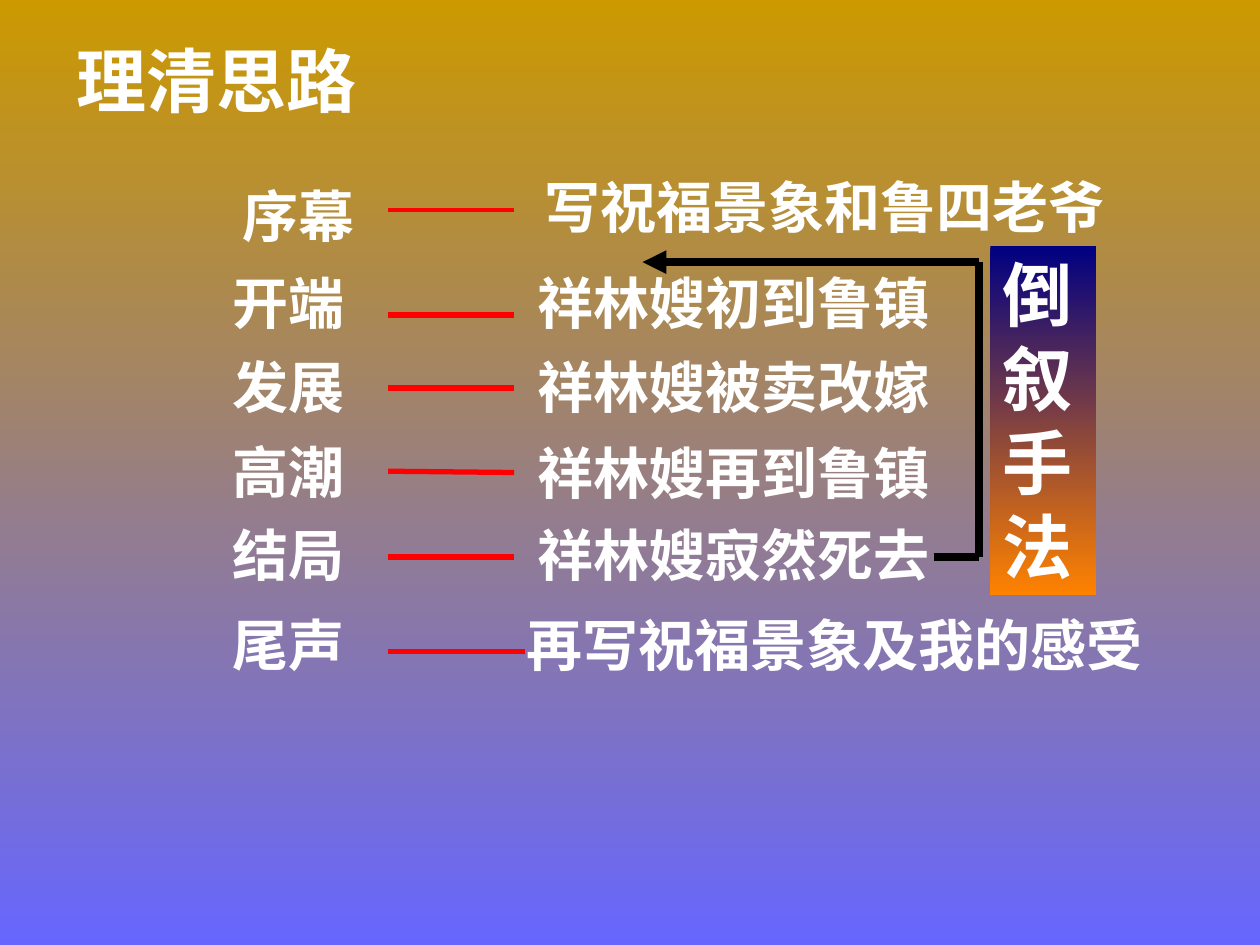
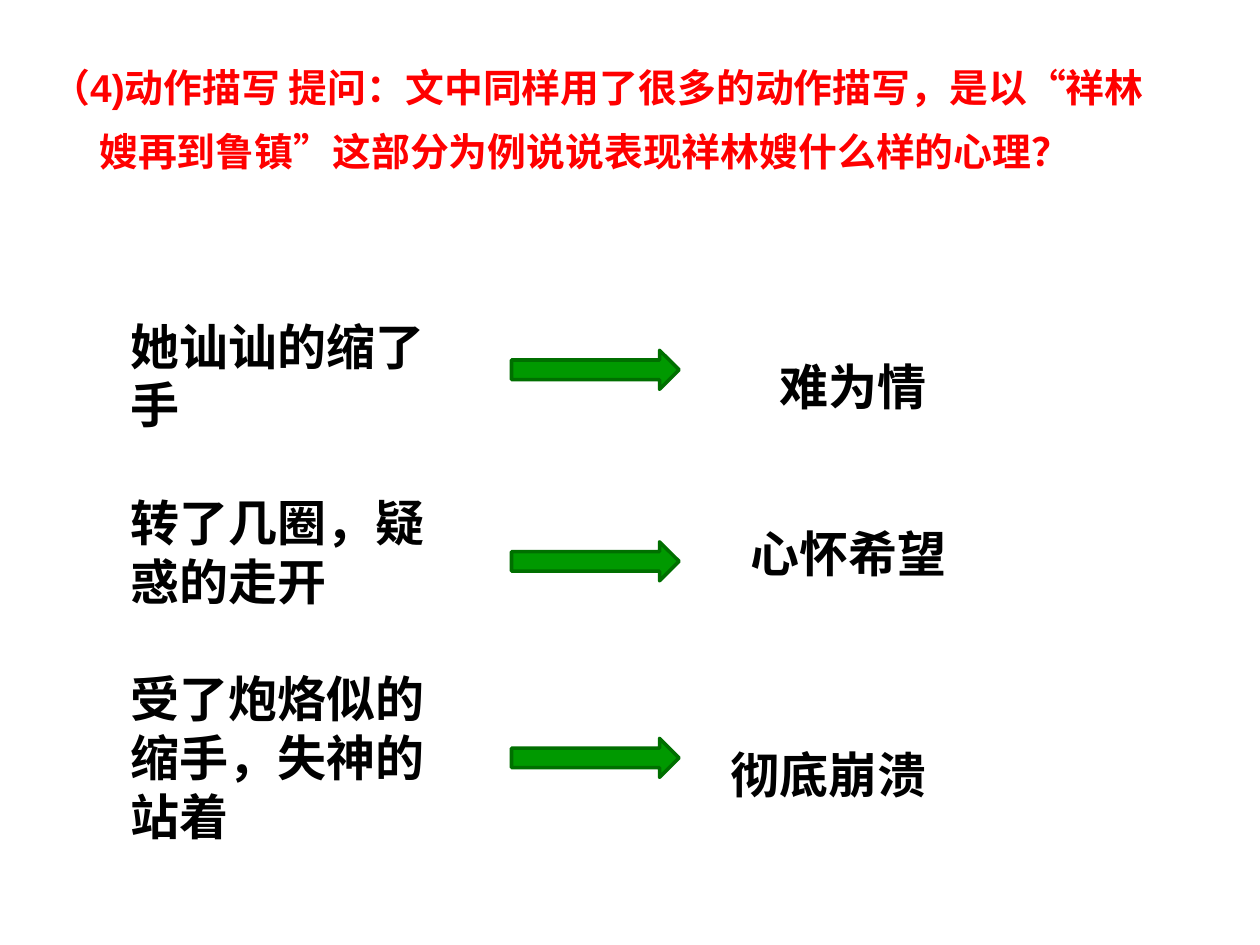
"""Build two lesson slides: the story outline and the action-description question."""
from dataclasses import dataclass

from lxml import etree
from pptx import Presentation
from pptx.dml.color import RGBColor
from pptx.enum.shapes import MSO_CONNECTOR, MSO_SHAPE
from pptx.enum.text import MSO_ANCHOR, PP_ALIGN
from pptx.oxml.ns import qn
from pptx.util import Inches, Pt

RECT, ARROW = MSO_SHAPE.RECTANGLE, MSO_SHAPE.RIGHT_ARROW
STRAIGHT = MSO_CONNECTOR.STRAIGHT
LEFT, TOP = PP_ALIGN.LEFT, MSO_ANCHOR.TOP
RIGHT_SIDE = 3


@dataclass(frozen=True)
class Theme:
    white: str = "FFFFFF"
    black: str = "000000"
    red: str = "FF0000"
    green: str = "009900"
    green_edge: str = "006F00"
    sky: tuple = ("CC9900", "6666FF")
    banner: tuple = ("000082", "FF8200")
    serif: str = "Times New Roman"
    sans: str = "Arial"
    cjk: str = "Noto Sans CJK SC"
    title: float = 40
    outline: float = 32
    body: float = 28
    question: float = 22.2
    leading: float = 1.2
    question_leading: float = 37


T = Theme()

OUTLINE_TITLE = "理清思路"
STAGES = [
    ("序幕", (1.83, 1.39, 1.25), "写祝福景象和鲁四老爷", (4.22, 1.32, 5.35), (1.67, 4.08, 2.25)),
    ("开端", (1.75, 2.08, 1.18), "祥林嫂初到鲁镇", (4.17, 2.08, 3.37), (2.5, 4.08, 3)),
    ("发展", (1.75, 2.75, 1.18), "祥林嫂被卖改嫁", (4.17, 2.75, 3.86), (3.08, 4.08, 3)),
    ("高潮", (1.75, 3.42, 1.33), "祥林嫂再到鲁镇", (4.17, 3.43, 3.78), (3.75, 4.08, 3)),
    ("结局", (1.75, 4.08, 1.09), "祥林嫂寂然死去", (4.17, 4.08, 3.78), (4.42, 4.08, 3)),
    ("尾声", (1.75, 4.8, 1.33), "再写祝福景象及我的感受", (4.08, 4.8, 5.48), (5.17, 4.17, 3)),
]
STAGE_H, DASH_X = 0.64, 3.08
TECHNIQUE = "倒叙手法"
FLASHBACK = [(7.41, 4.42), (7.77, 4.42), (7.77, 2.08), (5.1, 2.08)]

QUESTION = [
    ("（4)动作描写 提问：文中同样用了很多的动作描写，是以", T.sans),
    ("“", T.serif),
    ("祥林嫂再到鲁镇", T.sans),
    ("”", T.serif),
    ("这部分为例说说表现祥林嫂什么样的心理？", T.sans),
]
ACTIONS = ["她讪讪的缩了手", "转了几圈，疑惑的走开", "受了炮烙似的缩手，失神的站着"]
FEELINGS = [
    ("难为情", (6.09, 2.78, 1.72), 2.78),
    ("心怀希望", (5.86, 4.11, 1.99), 4.3),
    ("彻底崩溃", (5.7, 5.86, 2.44), 5.86),
]


def rgb(code):
    return RGBColor.from_string(code)


def gradient(fill, colors):
    fill.gradient()
    fill.gradient_angle = 270
    for stop, color, position in zip(fill.gradient_stops, colors, (0, 1)):
        stop.color.rgb = rgb(color)
        stop.position = position


def style_run(r, size, color, font):
    r.font.size, r.font.bold, r.font.name = Pt(size), True, font
    r.font.color.rgb = rgb(color)
    etree.SubElement(r.font._element, qn("a:ea")).set("typeface", T.cjk)


def write(sp, lines, size, color, font, wrap=True):
    tf = sp.text_frame
    tf.word_wrap, tf.vertical_anchor = wrap, TOP
    tf.text = "\n".join(lines)
    for i, p in enumerate(tf.paragraphs):
        p.alignment = LEFT
        p.line_spacing = Pt(size * T.leading)
        if i:
            p.space_before = Pt(size * T.leading)
        style_run(p.runs[0], size, color, font)


def textbox(slide, box, lines, size, color, font, wrap=True):
    sp = slide.shapes.add_textbox(*map(Inches, box))
    write(sp, lines, size, color, font, wrap)
    return sp


def preset(slide, kind, box):
    sp = slide.shapes.add_shape(kind, *map(Inches, box))
    sp.shadow.inherit = False
    return sp


def line(slide, start, end, color, width, arrow=False):
    cn = slide.shapes.add_connector(STRAIGHT, *map(Inches, start + end))
    cn.line.color.rgb, cn.line.width = rgb(color), Pt(width)
    if arrow:
        etree.SubElement(cn.line._get_or_add_ln(), qn("a:tailEnd")).set("type", "triangle")
    etree.SubElement(cn._element.spPr, qn("a:effectLst"))
    return cn


def outline_slide(slide):
    gradient(slide.background.fill, T.sky)
    textbox(slide, (0.51, 0.25, 2.42, 0.77), [OUTLINE_TITLE], T.title, T.white, T.serif, False)
    for stage, stage_box, event, event_box, (y, x_end, width) in STAGES:
        label = textbox(slide, (*stage_box, STAGE_H), [stage], T.outline, T.white, T.serif)
        textbox(slide, (*event_box, STAGE_H), [event], T.outline, T.white, T.serif)
        dash = line(slide, (DASH_X, y), (x_end, y), T.red, width)
        x, top, w = stage_box
        if abs(x + w - DASH_X) < 0.02 and abs(top + STAGE_H / 2 - y) < 0.02:
            dash.begin_connect(label, RIGHT_SIDE)
    banner = preset(slide, RECT, (7.86, 1.95, 0.84, 2.77))
    gradient(banner.fill, T.banner)
    banner.line.fill.background()
    write(banner, [TECHNIQUE], T.title, T.white, T.serif)
    for start, end in zip(FLASHBACK, FLASHBACK[1:]):
        line(slide, start, end, T.black, 4.5, arrow=end == FLASHBACK[-1])


def question_slide(slide):
    slide.background.fill.solid()
    slide.background.fill.fore_color.rgb = rgb(T.white)
    tf = slide.shapes.add_textbox(*map(Inches, (0.31, 0.31, 9, 1.14))).text_frame
    tf.word_wrap = True
    p = tf.paragraphs[0]
    p.line_spacing = Pt(T.question_leading)
    indent = Inches(0.38)
    pPr = p._p.get_or_add_pPr()
    pPr.set("marL", str(indent))
    pPr.set("indent", str(-indent))
    for text, font in QUESTION:
        r = p.add_run()
        r.text = text
        style_run(r, T.question, T.red, font)
    textbox(slide, (0.94, 2.46, 2.73, 4.31), ACTIONS, T.body, T.black, T.cjk)
    for feeling, box, arrow_y in FEELINGS:
        textbox(slide, (*box, 0.57), [feeling], T.body, T.black, T.cjk)
        arrow = preset(slide, ARROW, (4.06, arrow_y, 1.33, 0.31))
        arrow.fill.solid()
        arrow.fill.fore_color.rgb = rgb(T.green)
        arrow.line.color.rgb, arrow.line.width = rgb(T.green_edge), Pt(2)


def main():
    prs = Presentation()
    prs.slide_width, prs.slide_height = Inches(10), Inches(7.5)
    for build in (outline_slide, question_slide):
        build(prs.slides.add_slide(prs.slide_layouts[6]))
    prs.save("out.pptx")


if __name__ == "__main__":
    main()
